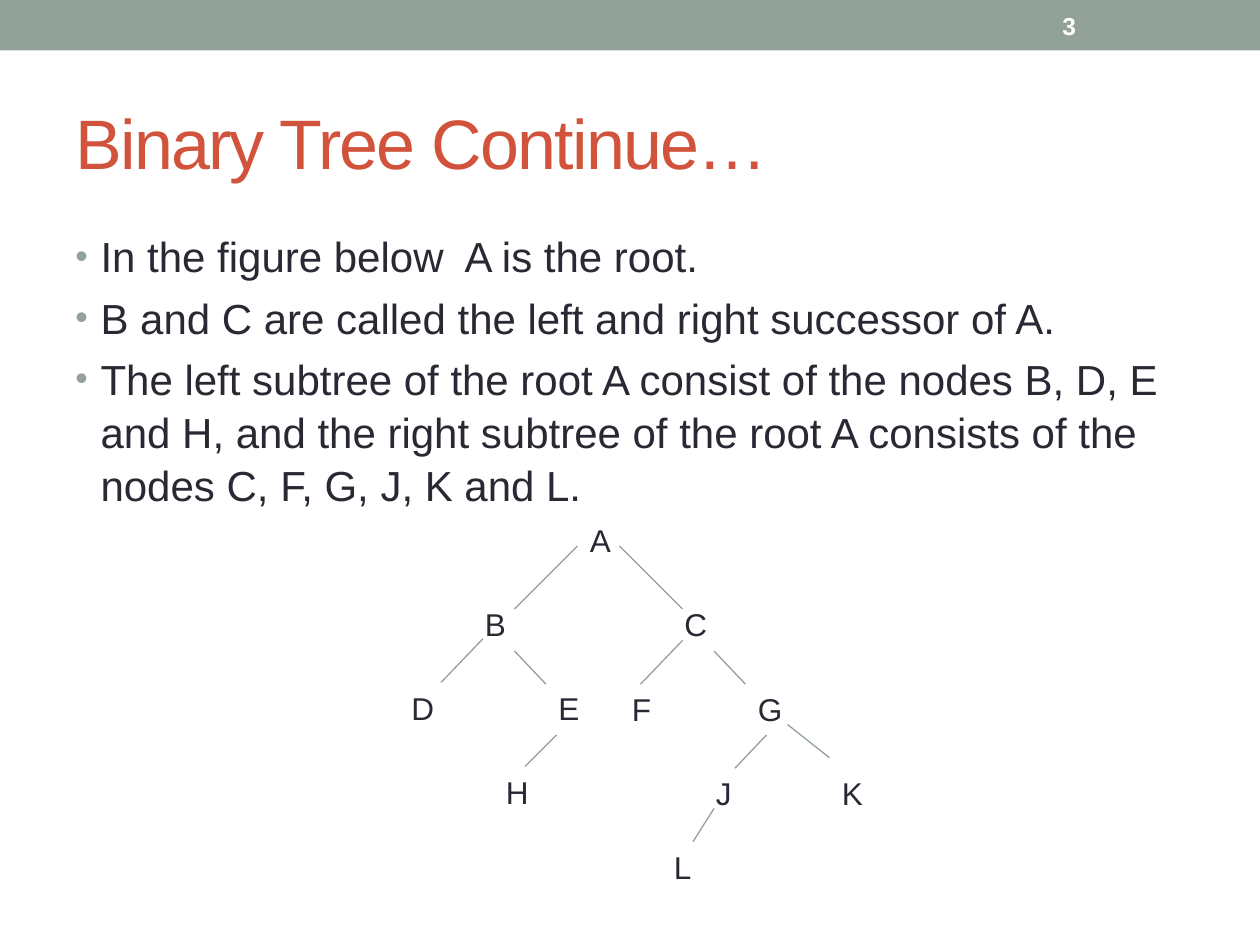
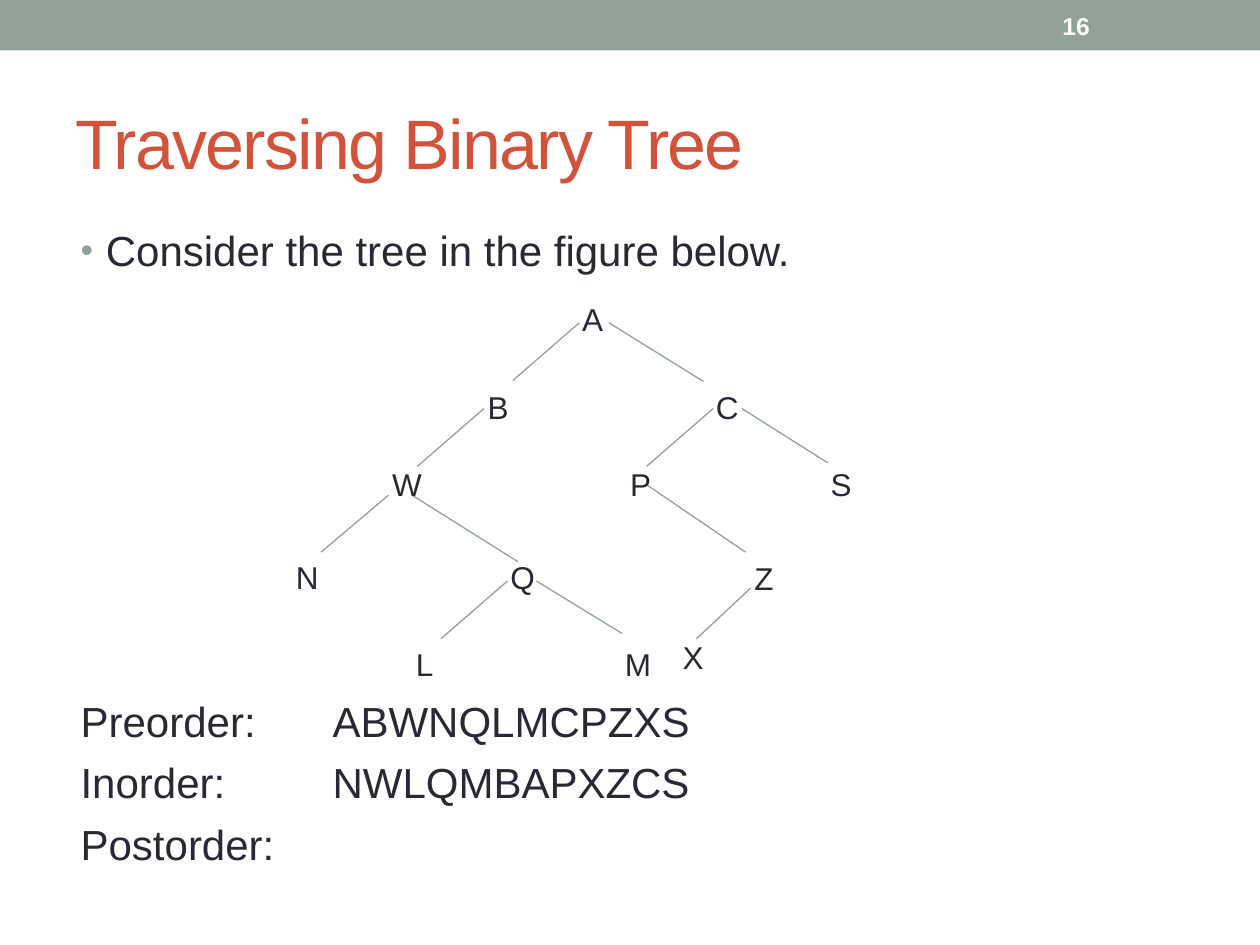
import pptx
import pptx.util
import pptx.dml.color
import pptx.enum.shapes
import pptx.enum.text
import pptx.oxml.ns
from lxml import etree

Pt = pptx.util.Pt
RGB = pptx.dml.color.RGBColor
ANCHOR = pptx.enum.text.MSO_ANCHOR

SAGE = RGB(0x93, 0xA2, 0x99)
RUST = RGB(0xD2, 0x53, 0x3C)
INK = RGB(0x29, 0x29, 0x34)
WHITE = RGB(0xFF, 0xFF, 0xFF)
FONT = "Arial"
WIDTH, HEIGHT = 720, 540
LABEL_WIDTH, LABEL_HEIGHT = 27, 29
INDENT = 14.4
ORDER_TAB = 144

# Each tree: node -> (left, top) of its label; edge -> (x1, y1, x2, y2)
SUBTREE_NODES = {
    "A": (330, 294), "B": (270, 342), "C": (384, 342),
    "D": (228, 390), "E": (312, 390), "F": (354, 391), "G": (426, 391),
    "H": (282, 438), "J": (402, 439), "K": (474, 439), "L": (378, 481),
}
SUBTREE_EDGES = {
    "AB": (330, 312, 294, 348), "AC": (354, 312, 390, 348),
    "BD": (276, 365, 252, 390), "BE": (294, 372, 312, 391),
    "CF": (390, 366, 366, 391), "CG": (408, 372, 426, 391),
    "EH": (318, 420, 300, 438), "GJ": (438, 420, 420, 439),
    "GK": (450, 414, 474, 433), "JL": (408, 462, 396, 481),
}
TRAVERSAL_NODES = {
    "A": (325.5, 168), "B": (271.5, 218), "C": (402, 218),
    "W": (217, 262), "P": (353, 262), "S": (467.5, 262),
    "N": (162, 315.5), "Q": (284.5, 315.5), "Z": (424, 316),
    "L": (230.5, 365), "M": (350, 365), "X": (383, 361),
}
TRAVERSAL_EDGES = {
    "AB": (331, 184.5, 293, 217.5), "AC": (348, 184.5, 402, 218),
    "BW": (276.5, 233.5, 238.5, 266.5), "CP": (407.5, 233.5, 369.5, 266.5),
    "CS": (424, 233.5, 473, 264.5), "WN": (222, 283, 183.5, 315.5),
    "WQ": (235.5, 283, 296, 321), "PZ": (369.5, 277, 426, 315.5),
    "QL": (290, 332, 252, 365), "QM": (306.5, 332, 355.5, 362),
    "ZX": (429, 336, 398, 365),
}


def add_xml(parent, tag, **attributes):
    return etree.SubElement(parent, pptx.oxml.ns.qn(tag), attributes)


class Deck:
    """Holds the shared style and the slide being built."""

    def __init__(self):
        self.prs = pptx.Presentation()
        self.prs.slide_width, self.prs.slide_height = Pt(WIDTH), Pt(HEIGHT)
        self.slide = None

    def new_slide(self, title, number):
        self.slide = self.prs.slides.add_slide(self.prs.slide_layouts[6])
        band = self.slide.shapes.add_shape(
            pptx.enum.shapes.MSO_SHAPE.RECTANGLE, 0, 0, Pt(WIDTH), Pt(28.8))
        band.shadow.inherit = False
        band.fill.solid()
        band.fill.fore_color.rgb = SAGE
        band.line.fill.background()
        heading = self.text([title], 36, 42, 648, 78, 40, RUST, ANCHOR.MIDDLE)
        for run in heading[0].runs:
            run.font._element.set("spc", "-100")
        page = self.text([number], 600, 1.5, 84, 26, 14, WHITE, ANCHOR.MIDDLE)
        page[0].runs[0].font.bold = True

    def text(self, lines, left, top, width, height, size, color=INK,
             anchor=ANCHOR.TOP):
        box = self.slide.shapes.add_textbox(
            Pt(left), Pt(top), Pt(width), Pt(height))
        frame = box.text_frame
        frame.word_wrap = True
        frame.vertical_anchor = anchor
        frame.text = "\n".join(lines)
        for paragraph in frame.paragraphs:
            for run in paragraph.runs:
                run.font.name, run.font.size = FONT, Pt(size)
                run.font.color.rgb = color
        return frame.paragraphs

    def body(self, lines, left, top, height):
        paragraphs = self.text(lines, left, top, 648, height, 24)
        for index, paragraph in enumerate(paragraphs):
            paragraph.line_spacing = 1.05
            if index:
                paragraph.space_before = Pt(4.8)
        return paragraphs

    def bullets(self, lines, left, top, height):
        for paragraph in self.body(lines, left, top, height):
            props = paragraph._p.get_or_add_pPr()
            props.set("marL", str(Pt(INDENT)))
            props.set("indent", str(-Pt(INDENT)))
            add_xml(add_xml(props, "a:buClr"), "a:srgbClr", val=str(SAGE))
            add_xml(props, "a:buSzPct", val="85000")
            add_xml(props, "a:buFont", typeface=FONT)
            add_xml(props, "a:buChar", char="•")

    def orders(self, lines, left, top, height):
        for paragraph in self.body(lines, left, top, height):
            tabs = add_xml(paragraph._p.get_or_add_pPr(), "a:tabLst")
            add_xml(tabs, "a:tab", pos=str(Pt(ORDER_TAB)), algn="l")

    def edge(self, *ends):
        line = self.slide.shapes.add_connector(
            pptx.enum.shapes.MSO_CONNECTOR.STRAIGHT, *map(Pt, ends))
        line.line.color.rgb = SAGE
        line.line.width = Pt(0.75)
        add_xml(line._element.spPr, "a:effectLst")

    def tree(self, nodes, edges):
        for ends in edges.values():
            self.edge(*ends)
        for label, (left, top) in nodes.items():
            self.text([label], left, top, LABEL_WIDTH, LABEL_HEIGHT, 18)


def main():
    deck = Deck()

    # Root, successors and subtrees
    deck.new_slide("Binary Tree Continue…", "3")
    deck.bullets([
        "In the figure below  A is the root.",
        "B and C are called the left and right successor of A.",
        "The left subtree of the root A consist of the nodes B, D, E and H, "
        "and the right subtree of the root A consists of the nodes "
        "C, F, G, J, K and L.",
    ], 36, 127, 160)
    deck.tree(SUBTREE_NODES, SUBTREE_EDGES)

    # Traversal orders
    deck.new_slide("Traversing Binary Tree", "16")
    deck.bullets(["Consider the tree in the figure below."], 39, 123.5, 38)
    deck.tree(TRAVERSAL_NODES, TRAVERSAL_EDGES)
    deck.orders([
        "Preorder:\tABWNQLMCPZXS",
        "Inorder:\tNWLQMBAPXZCS",
        "Postorder:",
    ], 39, 392.5, 105)

    deck.prs.save("out.pptx")


if __name__ == "__main__":
    main()
